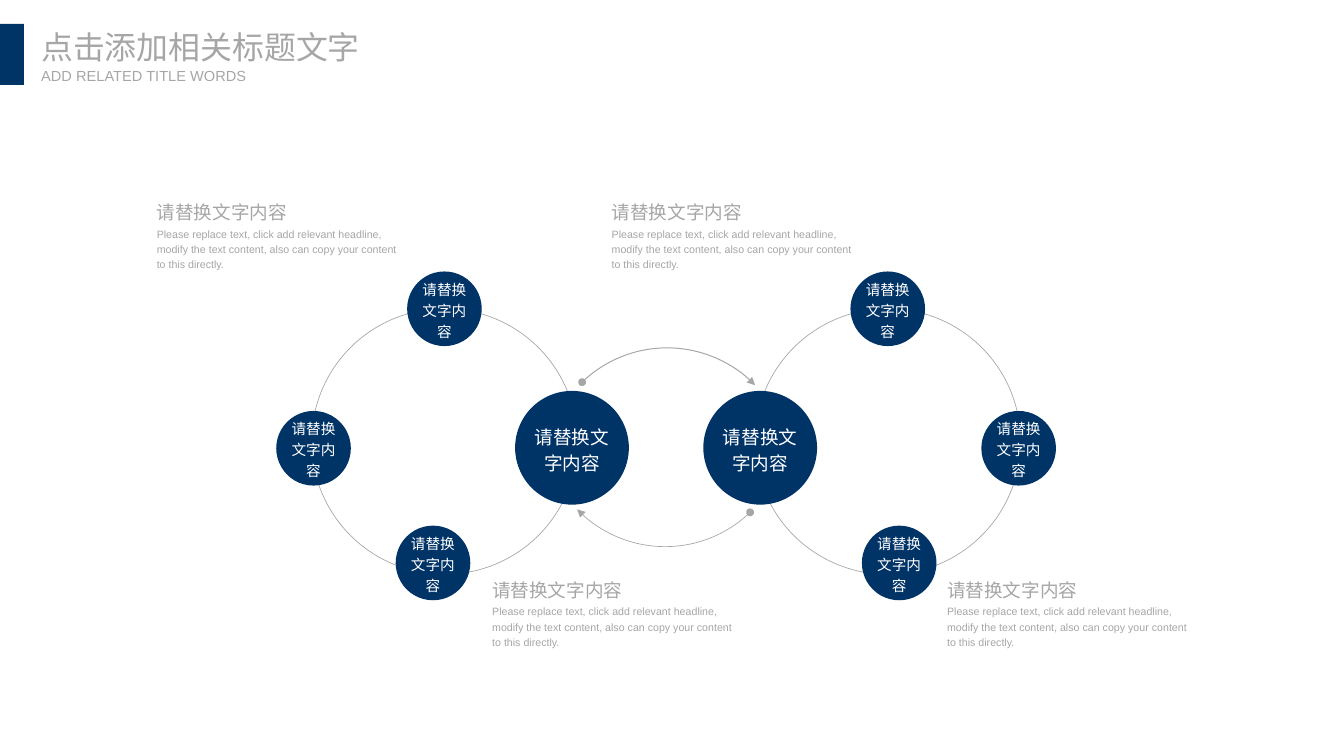
import pptx
import pptx.util
import pptx.dml.color
import pptx.enum.shapes
import pptx.enum.text
import pptx.oxml.ns
from lxml import etree

Pt = pptx.util.Pt
SHAPES = pptx.enum.shapes.MSO_SHAPE
ALIGN = pptx.enum.text.PP_ALIGN
ANCHOR = pptx.enum.text.MSO_ANCHOR
FIT = pptx.enum.text.MSO_AUTO_SIZE

TITLE = "点击添加相关标题文字"
SUBTITLE = "ADD RELATED TITLE WORDS"
LABEL = "请替换文字内容"
DETAIL = ("Please replace text, click add relevant headline, modify the text "
          "content, also can copy your content to this directly.")

COLORS = {"navy": "003366", "gray": "A6A6A6", "white": "FFFFFF"}
LATIN, CHINESE = "Arial", "Noto Sans CJK SC"

AXIS = 501.8  # the right half mirrors the left half about this x
RING = (334.8, 332.6, 200.2)  # centre x, centre y, diameter
# centre x, centre y, diameter, text size
DISCS = [
    (430.9, 337.3, 85.7, 14),
    (236.2, 337.7, 56.2, 11),
    (334.8, 232.6, 56.2, 11),
    (326.2, 424.1, 56.2, 11),
]
# centre x, centre y, start angle, end angle, line width
ARROWS = [
    (502.6, 354.2, 226, 316, 0.75),
    (501.1, 319.7, 46, 136, 0.5),
]
ARROW_DIAMETER = 184.3
NOTES = [(370.8, 432.7), (713.5, 432.7), (118.1, 148.3), (460.8, 148.3)]
DETAIL_OFFSET = 21.4


def color(name):
    return pptx.dml.color.RGBColor.from_string(COLORS[name])


def write(shape, text, size, ink, font=LATIN, spacing=1.2, align=ALIGN.LEFT,
          anchor=ANCHOR.TOP, wrap=True, fit=FIT.SHAPE_TO_FIT_TEXT):
    frame = shape.text_frame
    frame.margin_left = frame.margin_right = Pt(0)
    frame.margin_top = frame.margin_bottom = Pt(0)
    frame.word_wrap = wrap
    frame.auto_size = fit
    frame.vertical_anchor = anchor
    para = frame.paragraphs[0]
    para.alignment = align
    para.line_spacing = spacing
    span = para.add_run()
    span.text = text
    span.font.size = Pt(size)
    span.font.color.rgb = color(ink)
    span.font.name = font
    east_asian = etree.SubElement(span._r.get_or_add_rPr(),
                                  pptx.oxml.ns.qn("a:ea"))
    east_asian.set("typeface", LATIN)


def add_box(page, left, top, width, height, *text, **options):
    box = page.shapes.add_textbox(Pt(left), Pt(top), Pt(width), Pt(height))
    write(box, *text, **options)


def add_figure(page, kind, left, top, width, height, fill=None, line=None):
    """Add a flat preset shape; line is a width in points."""
    figure = page.shapes.add_shape(kind, Pt(left), Pt(top), Pt(width), Pt(height))
    figure.shadow.inherit = False
    if fill:
        figure.fill.solid()
        figure.fill.fore_color.rgb = color(fill)
    else:
        figure.fill.background()
    if line:
        figure.line.color.rgb = color("gray")
        figure.line.width = Pt(line)
    else:
        figure.line.fill.background()
    return figure


def add_round(page, x, y, diameter, kind=SHAPES.OVAL, **style):
    """Add a round shape by its centre."""
    return add_figure(page, kind, x - diameter / 2, y - diameter / 2,
                      diameter, diameter, **style)


def add_arrow(page, x, y, start, end, width):
    arrow = add_round(page, x, y, ARROW_DIAMETER, SHAPES.ARC, line=width)
    for index, degrees in enumerate((start, end)):
        arrow.adjustments[index] = degrees * 0.6
    line = arrow.line._get_or_add_ln()
    for tag, kind in (("a:headEnd", "oval"), ("a:tailEnd", "triangle")):
        etree.SubElement(line, pptx.oxml.ns.qn(tag)).set("type", kind)


def add_cycle(page, place):
    """Draw one ring with its discs; place maps an x to its half."""
    x, y, diameter = RING
    add_round(page, place(x), y, diameter, line=0.5)
    for x, y, diameter, size in DISCS:
        disc = add_round(page, place(x), y, diameter, fill="navy")
        write(disc, LABEL, size, "white", align=ALIGN.CENTER,
              anchor=ANCHOR.MIDDLE, fit=FIT.NONE)


def add_header(page):
    add_figure(page, SHAPES.RECTANGLE, 0, 18, 18, 46, fill="navy")
    title = page.shapes.title
    title.left, title.top = Pt(31), Pt(20.9)
    title.width, title.height = Pt(242.6), Pt(28.8)
    write(title, TITLE, 24, "gray", font=CHINESE, spacing=1.0, wrap=False)
    add_box(page, 31, 50.4, 157, 13.7, SUBTITLE, 11, "gray",
            spacing=1.0, wrap=False)


def main():
    deck = pptx.Presentation()
    deck.slide_width, deck.slide_height = Pt(1012.5), Pt(569.5)
    page = deck.slides.add_slide(deck.slide_layouts[5])
    add_cycle(page, lambda x: x)
    add_cycle(page, lambda x: 2 * AXIS - x)
    for arrow in ARROWS:
        add_arrow(page, *arrow)
    for left, top in NOTES:
        add_box(page, left, top + DETAIL_OFFSET, 185.8, 34.6, DETAIL, 8, "gray")
        add_box(page, left, top, 98.6, 18, LABEL, 14, "gray", wrap=False)
    add_header(page)
    deck.save("out.pptx")


if __name__ == "__main__":
    main()
